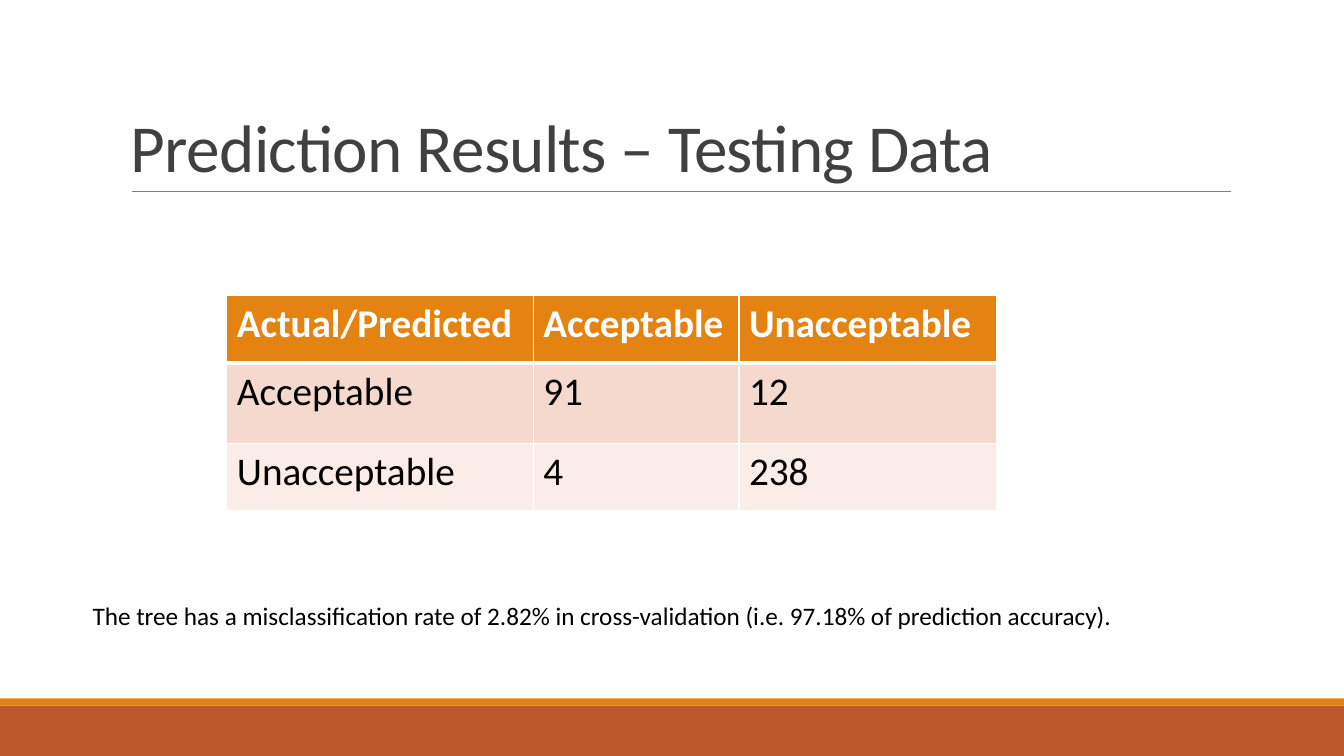
from lxml import etree
from pptx import Presentation
from pptx.dml.color import RGBColor
from pptx.enum import shapes, text
from pptx.oxml.ns import qn
from pptx.util import Inches, Pt

WHITE = RGBColor(0xFF, 0xFF, 0xFF)
BLACK = RGBColor(0, 0, 0)
CHARCOAL = RGBColor(0x40, 0x40, 0x40)
GRAY = RGBColor(0x80, 0x80, 0x80)
ORANGE = RGBColor(0xE4, 0x83, 0x12)
RUST = RGBColor(0xBD, 0x58, 0x2C)
PEACH = RGBColor(0xF5, 0xD9, 0xCC)
PALE_PEACH = RGBColor(0xFA, 0xED, 0xE7)

RESULTS = [
    ["Actual/Predicted", "Acceptable", "Unacceptable"],
    ["Acceptable", "91", "12"],
    ["Unacceptable", "4", "238"],
]
ROW_FILLS = [ORANGE, PEACH, PALE_PEACH]
COLUMN_WIDTHS = [3.04, 2.04, 2.55]
ROW_HEIGHTS = [0.67, 0.8, 0.67]


def write_text(frame, content, size, color, bold=False, line_spacing=None, tracking=None):
    """Write one formatted paragraph into a text frame."""
    paragraph = frame.paragraphs[0]
    paragraph.line_spacing = line_spacing
    run = paragraph.add_run()
    run.text = content
    run.font.name = "Calibri"
    run.font.size = Pt(size)
    run.font.bold = bold
    run.font.color.rgb = color
    if tracking is not None:
        run.font._element.set("spc", str(int(tracking * 100)))


def add_text(slide, box, content, anchor=text.MSO_ANCHOR.TOP, **text_format):
    """Add a wrapping text box."""
    frame = slide.shapes.add_textbox(*map(Inches, box)).text_frame
    frame.word_wrap = True
    frame.vertical_anchor = anchor
    write_text(frame, content, **text_format)


def add_band(slide, top, height, color):
    """Add a full-width footer band."""
    band = slide.shapes.add_shape(
        shapes.MSO_SHAPE.RECTANGLE, 0, Inches(top), Inches(13.33), Inches(height))
    band.shadow.inherit = False
    band.fill.solid()
    band.fill.fore_color.rgb = color
    band.line.fill.background()


def add_rule(slide, left, right, y):
    """Add the thin rule below the title."""
    rule = slide.shapes.add_connector(
        shapes.MSO_CONNECTOR.STRAIGHT, Inches(left), Inches(y), Inches(right), Inches(y))
    rule.line.color.rgb = GRAY
    rule.line.width = Pt(0.5)
    etree.SubElement(rule._element.spPr, qn("a:effectLst"))


def set_borders(cell, color, **widths):
    """Draw cell borders, with widths in points keyed by side."""
    properties = cell._tc.get_or_add_tcPr()
    for index, (side, width) in enumerate(widths.items()):
        line = etree.Element(qn(f"a:ln{side}"), w=str(Pt(width)))
        fill = etree.SubElement(line, qn("a:solidFill"))
        etree.SubElement(fill, qn("a:srgbClr"), val=str(color))
        properties.insert(index, line)


def add_results_table(slide, left, top):
    """Add the confusion matrix of actual and predicted classes."""
    table = slide.shapes.add_table(
        len(RESULTS), len(COLUMN_WIDTHS), Inches(left), Inches(top),
        Inches(sum(COLUMN_WIDTHS)), Inches(sum(ROW_HEIGHTS))).table
    for column, width in zip(table.columns, COLUMN_WIDTHS):
        column.width = Inches(width)
    for row_index, (row, height) in enumerate(zip(table.rows, ROW_HEIGHTS)):
        row.height = Inches(height)
        is_header = row_index == 0
        for cell, content in zip(row.cells, RESULTS[row_index]):
            cell.fill.solid()
            cell.fill.fore_color.rgb = ROW_FILLS[row_index]
            write_text(cell.text_frame, content, size=28, bold=is_header,
                       color=WHITE if is_header else BLACK)
            set_borders(cell, WHITE, L=1, R=1, T=3 if row_index == 1 else 1,
                        B=3 if is_header else 1)


def main():
    """Build and save the prediction results slide."""
    presentation = Presentation()
    presentation.slide_width = Inches(13.33)
    presentation.slide_height = Inches(7.5)
    slide = presentation.slides.add_slide(presentation.slide_layouts[6])
    add_band(slide, 7, 0.5, RUST)
    add_band(slide, 6.93, 0.07, ORANGE)
    add_rule(slide, 1.31, 12.21, 1.9)
    add_text(slide, (1.2, 0.31, 11, 1.59), "Prediction Results – Testing Data",
             anchor=text.MSO_ANCHOR.BOTTOM, size=48, color=CHARCOAL,
             line_spacing=0.85, tracking=-0.5)
    add_results_table(slide, 2.25, 2.93)
    add_text(slide, (0.82, 5.91, 11.38, 0.4),
             "The tree has a misclassification rate of 2.82% in cross-validation "
             "(i.e. 97.18% of prediction accuracy).", size=18, color=BLACK)
    presentation.save("out.pptx")


main()
